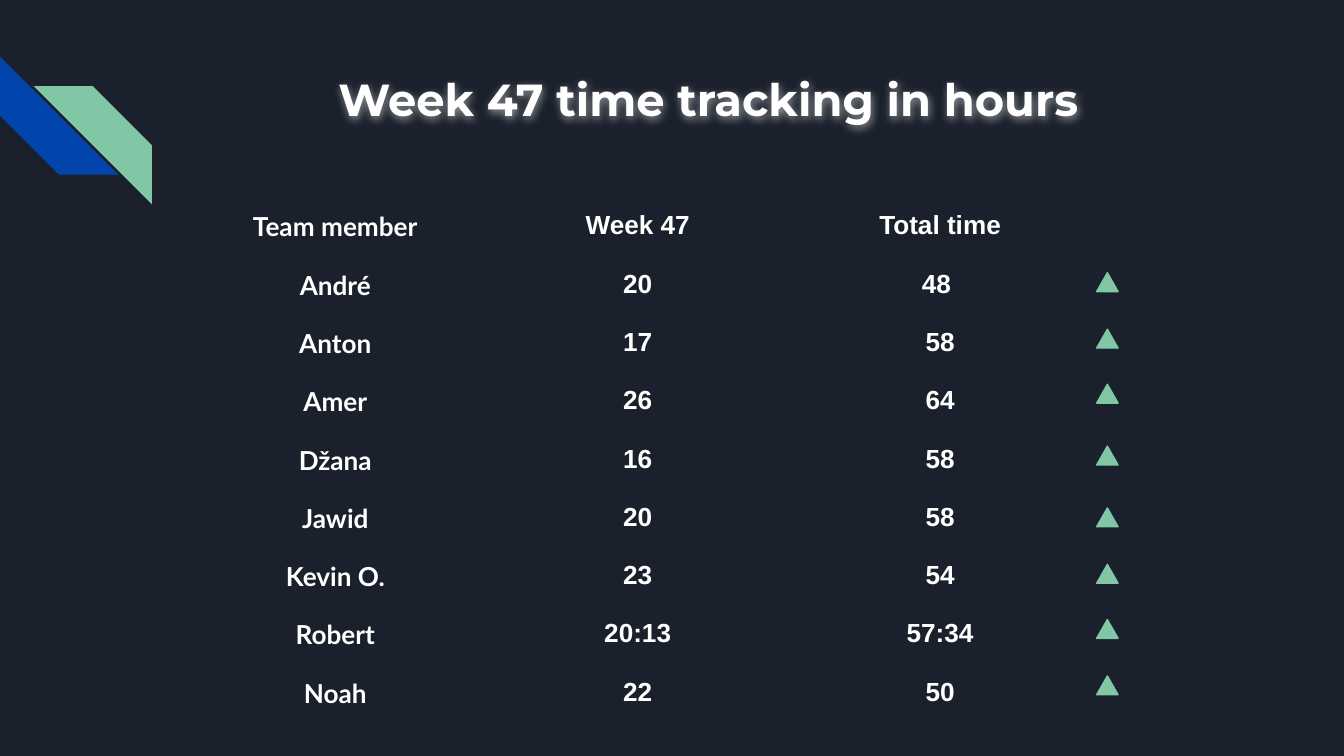
from lxml.etree import SubElement
from pptx import Presentation
from pptx.dml.color import RGBColor
from pptx.enum.shapes import MSO_SHAPE as Shape
from pptx.enum.text import MSO_ANCHOR as Anchor, PP_ALIGN as Align
from pptx.oxml import parse_xml
from pptx.oxml.ns import nsdecls, qn
from pptx.util import Inches, Pt

NAVY = RGBColor(0x1B, 0x21, 0x2C)
BLUE = RGBColor(0x01, 0x45, 0xAC)
GREEN = RGBColor(0x82, 0xC7, 0xA5)
WHITE = RGBColor(0xFF, 0xFF, 0xFF)

PLAIN_TABLE_STYLE = "{2D5ABB26-0587-4C30-8999-92F81FD0307C}"
TITLE_GLOW = (
    f'<a:effectLst {nsdecls("a")}>'
    '<a:outerShdw blurRad="57150" dist="19050" dir="5400000" algn="bl" rotWithShape="0">'
    '<a:srgbClr val="FFFFFF"><a:alpha val="50000"/></a:srgbClr>'
    '</a:outerShdw></a:effectLst>'
)

HOURS = [
    ("Team member", "Week 47", "Total time"),
    ("André", "20", "48 "),
    ("Anton", "17", "58"),
    ("Amer", "26", "64"),
    ("Džana", "16", "58"),
    ("Jawid", "20", "58"),
    ("Kevin O.", "23", "54"),
    ("Robert", "20:13", "57:34"),
    ("Noah", "22", "50"),
]
COLUMN_FONTS = ("Lato", "Arial", "Arial")
TREND_TOPS = (2.03, 2.45, 2.86, 3.32, 3.78, 4.2, 4.61, 5.03)


class SlideBuilder:
    """Holds the text style and the slide being filled."""

    margin = Inches(0.1)

    def __init__(self, presentation):
        self.slide = presentation.slides.add_slide(presentation.slide_layouts[5])
        fill = self.slide.background.fill
        fill.solid()
        fill.fore_color.rgb = NAVY

    def format_text(self, text_frame, font_name, size):
        paragraph = text_frame.paragraphs[0]
        paragraph.alignment = Align.CENTER
        font = paragraph.runs[0].font
        font.name, font.size, font.bold = font_name, Pt(size), True
        font.color.rgb = WHITE

    def set_margins(self, target):
        target.margin_left = target.margin_right = self.margin
        target.margin_top = target.margin_bottom = self.margin

    def title(self, text, left, top, width, height):
        title = self.slide.shapes.title
        title.left, title.top = Inches(left), Inches(top)
        title.width, title.height = Inches(width), Inches(height)
        title.fill.background()
        title.line.fill.background()
        title._element.spPr.append(parse_xml(TITLE_GLOW))
        text_frame = title.text_frame
        text_frame.text = text
        text_frame.word_wrap = True
        text_frame.vertical_anchor = Anchor.TOP
        self.set_margins(text_frame)
        self.format_text(text_frame, "Montserrat", 24)

    def shape(self, kind, left, top, width, height, color):
        shape = self.slide.shapes.add_shape(
            kind, Inches(left), Inches(top), Inches(width), Inches(height))
        shape.shadow.inherit = False
        shape.fill.solid()
        shape.fill.fore_color.rgb = color
        shape.line.fill.background()
        return shape

    def stripe(self, left, top, color, rotation=0, mirrored=False):
        stripe = self.shape(Shape.DIAGONAL_STRIPE, left, top, 0.88, 0.88, color)
        stripe.rotation = rotation
        if mirrored:
            stripe._element.spPr.xfrm.set("flipH", "1")

    def trend_marker(self, top):
        marker = self.shape(Shape.ISOSCELES_TRIANGLE, 8.16, top, 0.16, 0.14, GREEN)
        marker.line.color.rgb = GREEN
        marker.line.width = Pt(0.75)

    def table(self, rows, fonts, left, top, column_width, row_height):
        table = self.slide.shapes.add_table(
            len(rows), len(fonts), Inches(left), Inches(top),
            Inches(column_width * len(fonts)), Inches(row_height * len(rows))).table
        table.first_row = table.horz_banding = False
        properties = table._tbl.tblPr
        style = properties.find(qn("a:tableStyleId"))
        if style is None:
            style = SubElement(properties, qn("a:tableStyleId"))
        style.text = PLAIN_TABLE_STYLE
        for row_index, row in enumerate(rows):
            for column_index, (text, font_name) in enumerate(zip(row, fonts)):
                cell = table.cell(row_index, column_index)
                cell.fill.background()
                cell.text_frame.text = text
                self.set_margins(cell)
                self.format_text(cell.text_frame, font_name, 14)


def main():
    presentation = Presentation()
    presentation.slide_width = Inches(10)
    presentation.slide_height = Inches(10 * 9 / 16)

    builder = SlideBuilder(presentation)
    builder.stripe(0, 0.42, BLUE, rotation=270)
    builder.stripe(0.25, 0.64, GREEN, mirrored=True)
    builder.title("Week 47 time tracking in hours", 1.42, 0.43, 7.7, 1)
    builder.table(HOURS, COLUMN_FONTS, 1.37, 1.47, column_width=2.25, row_height=0.43)
    for top in TREND_TOPS:
        builder.trend_marker(top)

    presentation.save("out.pptx")


if __name__ == "__main__":
    main()
